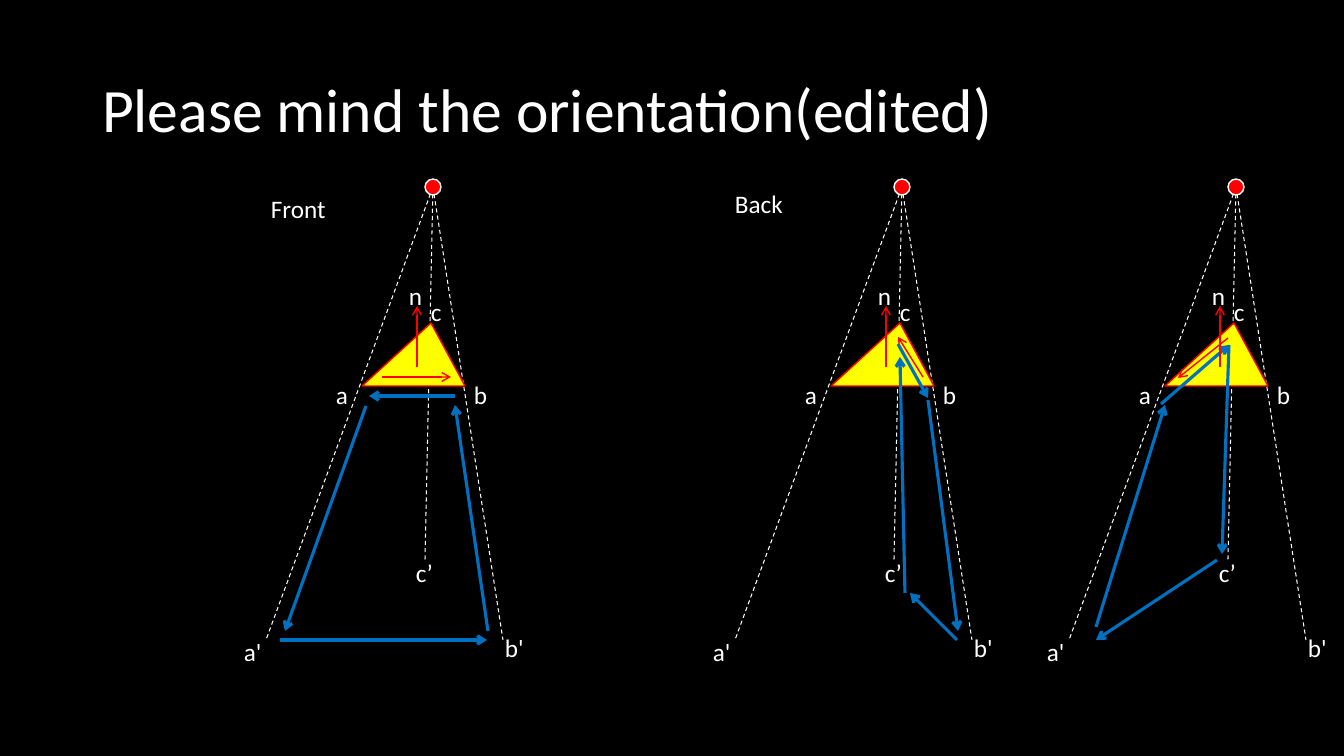
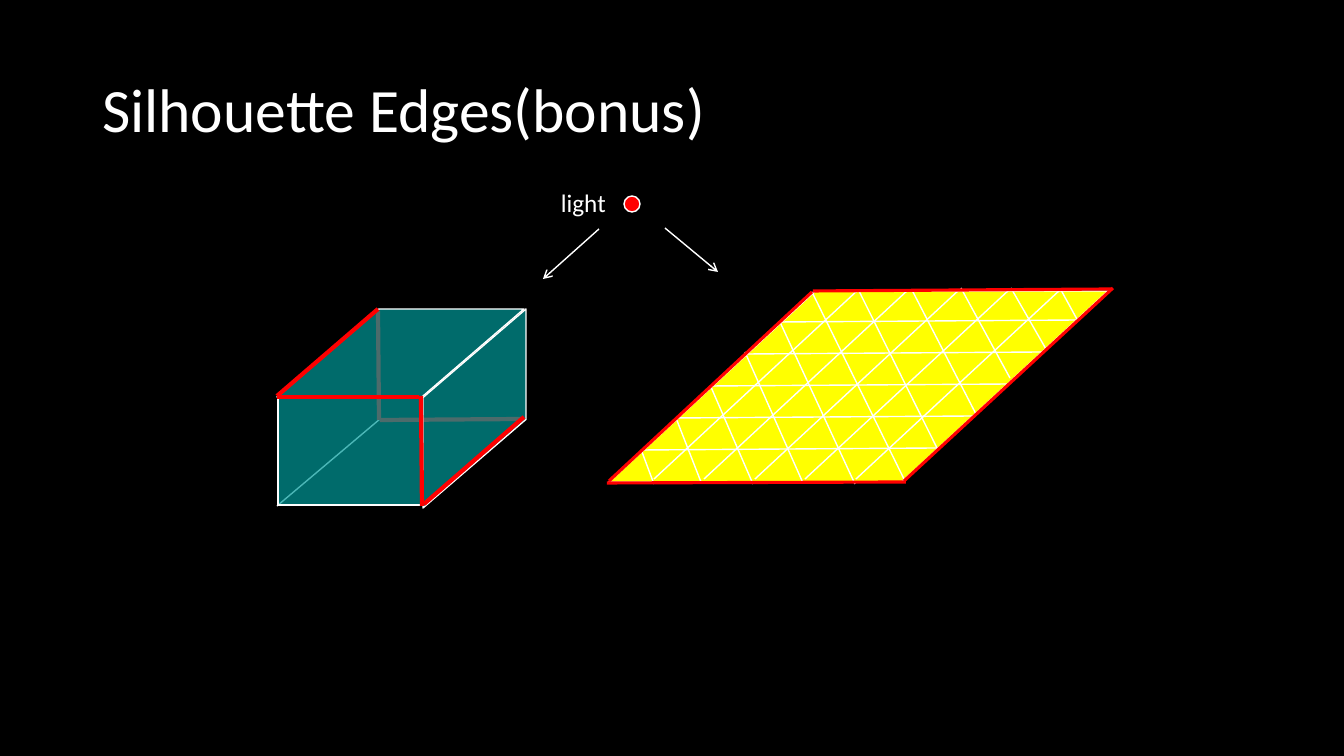
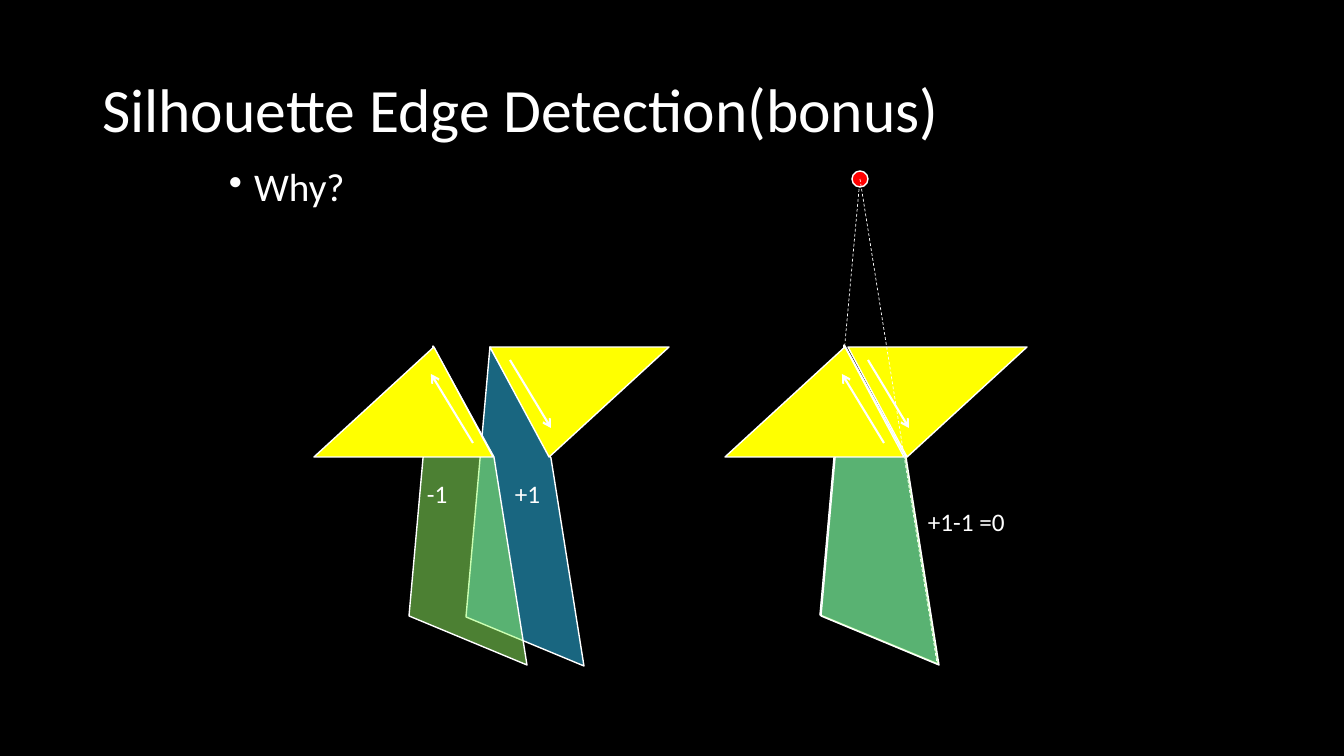
from dataclasses import dataclass

from lxml.etree import SubElement
from pptx import Presentation
from pptx.dml.color import RGBColor
from pptx.enum.dml import MSO_LINE
from pptx.enum.shapes import MSO_CONNECTOR, MSO_SHAPE
from pptx.enum.text import MSO_ANCHOR, MSO_AUTO_SIZE, PP_ALIGN
from pptx.oxml.ns import qn
from pptx.util import Emu, Inches, Pt

EMU_PER_PX = 12192000 / 1344
FONT = "Calibri"
BLACK, WHITE, RED, YELLOW = "000000", "FFFFFF", "FF0000", "FFFF00"
BLUE, TEAL, SKY, LIME = "0070C0", "009999", "33CCFF", "99FF66"
APEX_POSITION = 0.67


def px(length):
    return Emu(round(length * EMU_PER_PX))


def paint(color_format, color):
    color_format.rgb = RGBColor.from_string(color)


def style_text(paragraph, size):
    for run in paragraph.runs:
        run.font.name = FONT
        run.font.size = Pt(size)
        paint(run.font.color, WHITE)


def style_shape(shape, fill, line, opacity):
    shape.shadow.inherit = False
    shape.fill.solid()
    paint(shape.fill.fore_color, fill)
    if opacity < 100:
        color = shape.element.spPr.find(f"{qn('a:solidFill')}/{qn('a:srgbClr')}")
        SubElement(color, qn("a:alpha"), val=str(opacity * 1000))
    paint(shape.line.color, line)
    shape.line.width = Pt(1)


@dataclass
class Region:
    shapes: object
    left: int = 0
    top: int = 0

    def at(self, x, y):
        return px(self.left + x), px(self.top + y)

    def line(self, start, end, color=WHITE, width=1, arrow=False, dashed=False):
        connector = self.shapes.add_connector(
            MSO_CONNECTOR.STRAIGHT, *self.at(*start), *self.at(*end)
        )
        paint(connector.line.color, color)
        connector.line.width = Pt(width)
        if dashed:
            connector.line.dash_style = MSO_LINE.DASH
        properties = connector.element.spPr
        if arrow:
            SubElement(properties.find(qn("a:ln")), qn("a:tailEnd"), type="arrow")
        SubElement(properties, qn("a:effectLst"))

    def preset(self, kind, x, y, width, height, fill, line=WHITE,
               adjustment=None, opacity=100):
        shape = self.shapes.add_shape(kind, *self.at(x, y), px(width), px(height))
        if adjustment is not None:
            shape.adjustments[0] = adjustment
        style_shape(shape, fill, line, opacity)
        return shape

    def outline(self, points, x, y, fill, opacity):
        builder = self.shapes.build_freeform(*points[0], scale=EMU_PER_PX)
        builder.add_line_segments(points[1:], close=True)
        shape = builder.convert_to_shape(*self.at(x, y))
        style_shape(shape, fill, WHITE, opacity)

    def label(self, text, x, y, width):
        box = self.shapes.add_textbox(*self.at(x, y), px(width), px(40))
        box.text_frame.word_wrap = True
        box.text_frame.auto_size = MSO_AUTO_SIZE.SHAPE_TO_FIT_TEXT
        box.text_frame.text = text
        style_text(box.text_frame.paragraphs[0], 18)

    def light(self, x, y):
        self.preset(MSO_SHAPE.OVAL, x, y, 16, 16, RED)


def add_titled_slide(presentation, text):
    slide = presentation.slides.add_slide(presentation.slide_layouts[5])
    title = slide.shapes.title
    title.left, title.top, title.width, title.height = map(px, (92, 40, 1159, 146))
    frame = title.text_frame
    frame.text = text
    frame.vertical_anchor = MSO_ANCHOR.MIDDLE
    frame.auto_size = MSO_AUTO_SIZE.NONE
    paragraph = frame.paragraphs[0]
    paragraph.alignment = PP_ALIGN.LEFT
    paragraph.line_spacing = 0.9
    style_text(paragraph, 44)
    return slide


def add_bullet(slide, text):
    box = slide.shapes.add_textbox(px(219), px(163), px(907), px(499))
    box.text_frame.word_wrap = True
    box.text_frame.text = text
    paragraph = box.text_frame.paragraphs[0]
    paragraph.line_spacing = 0.9
    paragraph.space_before = Pt(10)
    style_text(paragraph, 28)
    properties = paragraph._p.get_or_add_pPr()
    properties.set("marL", str(Inches(0.25)))
    properties.set("indent", str(-Inches(0.25)))
    SubElement(properties, qn("a:buChar"), char="•")


def draw_shadow_volume(region, edge, loop):
    for ray_end in ((32, 461), (269, 461), (191, 381)):
        region.line((199, 8), ray_end, width=0.75, dashed=True)
    region.light(191, 0)
    region.preset(MSO_SHAPE.ISOSCELES_TRIANGLE, 128, 144, 103, 63, YELLOW, RED,
                  APEX_POSITION)
    region.line(*edge, RED, arrow=True)
    for start, end in loop:
        region.line(start, end, BLUE, 2.25, arrow=True)
    region.line((183, 188), (183, 127), RED, arrow=True)
    for text, x, y, width in (
        ("n", 165, 96, 31), ("a", 92, 195, 22), ("b", 230, 195, 22),
        ("a'", 0, 452, 49), ("b'", 261, 448, 49),
        ("c", 187, 112, 22), ("c’", 172, 373, 40),
    ):
        region.label(text, x, y, width)


def build_orientation(presentation):
    slide = add_titled_slide(presentation, "Please mind the orientation(edited)")
    volumes = (
        (234, ((148, 198), (217, 198)), (
            ((132, 227), (51, 452)), ((46, 461), (253, 461)),
            ((254, 452), (221, 226)), ((221, 217), (135, 217)))),
        (703, ((220, 198), (195, 158)), (
            ((202, 414), (197, 178)), ((254, 461), (207, 414)),
            ((225, 221), (255, 452)), ((195, 165), (225, 219)))),
        (1037, ((191, 159), (141, 199)), (
            ((59, 448), (128, 226)), ((180, 381), (59, 461)),
            ((192, 166), (185, 375)), ((124, 225), (192, 166)))),
    )
    for left, edge, loop in volumes:
        draw_shadow_volume(Region(slide.shapes, left, 179), edge, loop)
    page = Region(slide.shapes)
    page.label("Front", 261, 188, 94)
    page.label("Back", 725, 183, 94)


def draw_cube(region):
    region.line((0, 197), (103, 110))
    region.line((102, 111), (101, 2), RED, 3)
    region.line((245, 110), (103, 111), RED, 3)
    region.preset(MSO_SHAPE.RECTANGLE, 1, 88, 143, 108, TEAL, opacity=70)
    region.preset(MSO_SHAPE.PARALLELOGRAM, 0, 0, 247, 88, TEAL,
                  adjustment=1.16, opacity=70)
    side = region.preset(MSO_SHAPE.PARALLELOGRAM, 98, 48, 199, 103, TEAL,
                         adjustment=0.86, opacity=70)
    side.rotation = 90
    side.element.spPr.get_or_add_xfrm().set("flipV", "1")
    for start, end in (
        ((145, 197), (144, 87)), ((142, 88), (0, 88)),
        ((247, 108), (147, 195)), ((101, 0), (0, 87)),
    ):
        region.line(start, end, RED, 3)


def draw_mesh(region):
    region.preset(MSO_SHAPE.PARALLELOGRAM, 0, 0, 499, 191, YELLOW, adjustment=1.08)
    for step in range(5):
        column = 249 + 101 * step // 2
        region.line((column, -1), (column - 204, 188))
        right, row = 471 - 35 * step, 29 + 32 * step
        region.line((right, row), (right - 298, row + 2))
    for start, end in (
        ((203, 1), (296, 190)), ((250, 0), (329, 159)), ((303, -1), (367, 123)),
        ((352, -3), (401, 87)), ((402, -3), (437, 58)), ((452, -1), (469, 30)),
        ((171, 31), (246, 193)), ((136, 61), (194, 192)), ((102, 96), (144, 193)),
        ((67, 127), (92, 191)), ((33, 161), (45, 193)),
    ):
        region.line(start, end)
    for start, end in (
        ((203, 1), (0, 190)), ((504, -3), (295, 190)),
        ((502, -2), (204, 0)), ((297, 191), (-2, 192)),
    ):
        region.line(start, end, RED, 2.25)


def build_silhouette_edges(presentation):
    slide = add_titled_slide(presentation, "Silhouette Edges(bonus)")
    draw_cube(Region(slide.shapes, 277, 309))
    draw_mesh(Region(slide.shapes, 609, 291))
    page = Region(slide.shapes)
    page.light(624, 196)
    page.label("light", 551, 182, 87)
    page.line((599, 229), (543, 279), arrow=True)
    page.line((665, 228), (718, 272), arrow=True)


def draw_shadow_quads(region, sky_corner, lime_corner):
    points = ((24, 0), (0, 270), (118, 319), (85, 111))
    region.outline(points, *sky_corner, SKY, 50)
    region.outline(points, *lime_corner, LIME, 50)


def draw_triangle_pair(region, offset):
    for x, rotation in ((0, 0), (offset, 180)):
        triangle = region.preset(MSO_SHAPE.ISOSCELES_TRIANGLE, x, 0, 179, 110,
                                 YELLOW, adjustment=APEX_POSITION)
        triangle.rotation = rotation
    region.line((159, 96), (117, 27), width=1.5, arrow=True)
    region.line((offset + 20, 13), (offset + 61, 81), width=1.5, arrow=True)


def draw_separate_faces(region):
    draw_shadow_quads(region, (152, 0), (95, -1))
    draw_triangle_pair(region, 176)
    region.label("+1", 191, 126, 64)
    region.label("-1", 103, 126, 64)


def draw_joined_faces(region):
    draw_shadow_quads(region, (95, -2), (96, -1))
    light_center = (135, -168)
    region.line(light_center, (95, 269), width=0.5, dashed=True)
    draw_triangle_pair(region, 123)
    region.light(127, -176)
    region.line(light_center, (212, 316), width=0.5, dashed=True)
    region.label("+1-1 =0", 193, 154, 147)


def build_edge_detection(presentation):
    slide = add_titled_slide(presentation, "Silhouette Edge Detection(bonus)")
    add_bullet(slide, "Why?")
    for draw_faces, left in ((draw_separate_faces, 314), (draw_joined_faces, 725)):
        group = slide.shapes.add_group_shape()
        draw_faces(Region(group.shapes, left, 347))


def main():
    presentation = Presentation()
    presentation.slide_width, presentation.slide_height = px(1344), px(756)
    background = presentation.slide_master.background.fill
    background.solid()
    paint(background.fore_color, BLACK)
    build_orientation(presentation)
    build_silhouette_edges(presentation)
    build_edge_detection(presentation)
    presentation.save("out.pptx")


if __name__ == "__main__":
    main()
